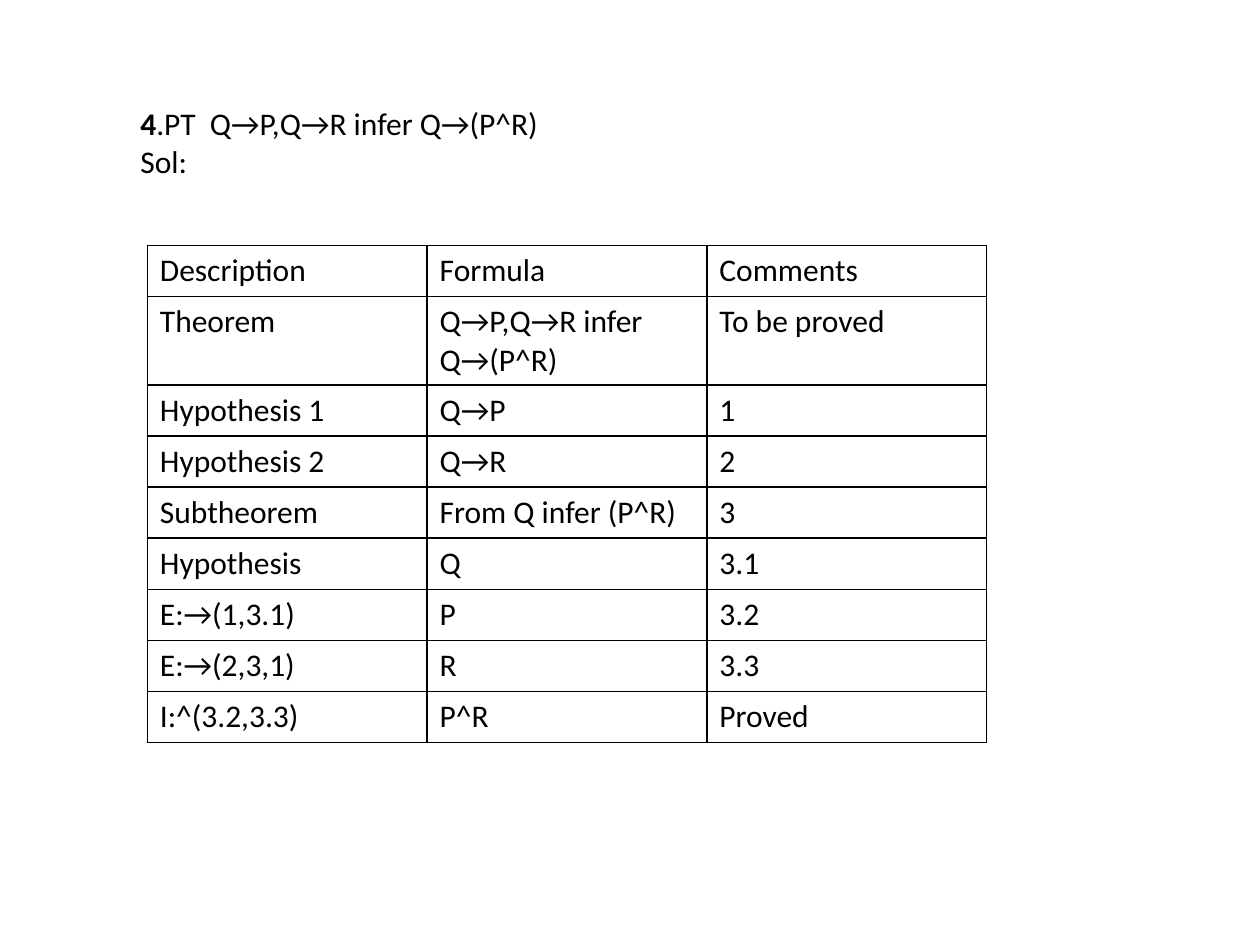
from lxml import etree
from pptx import Presentation
from pptx.dml.color import RGBColor
from pptx.oxml.ns import qn
from pptx.util import Cm, Pt

BLACK = RGBColor(0, 0, 0)
SIDES = ("a:lnL", "a:lnR", "a:lnT", "a:lnB")
ROWS = [
    ("Description", "Formula", "Comments"),
    ("Theorem", "Q→P,Q→R infer Q→(P^R)", "To be proved"),
    ("Hypothesis 1", "Q→P", "1"),
    ("Hypothesis 2", "Q→R", "2"),
    ("Subtheorem", "From Q infer (P^R)", "3"),
    ("Hypothesis", "Q", "3.1"),
    ("E:→(1,3.1)", "P", "3.2"),
    ("E:→(2,3,1)", "R", "3.3"),
    ("I:^(3.2,3.3)", "P^R", "Proved"),
]


def write(para, text, font="Calibri", size=18, color=BLACK, bold=False):
    run = para.add_run()
    run.text = text
    run.font.name = font
    run.font.size = Pt(size)
    run.font.color.rgb = color
    run.font.bold = bold


class Page:
    def __init__(self, slide, line=BLACK, width=1):
        self.slide = slide
        self.line = line
        self.width = width

    def text(self, x, y, w, h, lines):
        box = self.slide.shapes.add_textbox(Cm(x), Cm(y), Cm(w), Cm(h))
        frame = box.text_frame
        frame.word_wrap = False
        for i, runs in enumerate(lines):
            para = frame.add_paragraph() if i else frame.paragraphs[0]
            for text, bold in runs:
                write(para, text, bold=bold)

    def border(self, cell):
        props = cell._tc.get_or_add_tcPr()
        for side in SIDES:
            edge = etree.SubElement(props, qn(side), w=str(Pt(self.width)))
            fill = etree.SubElement(edge, qn("a:solidFill"))
            etree.SubElement(fill, qn("a:srgbClr"), val=str(self.line))

    def table(self, x, y, wide, high, rows):
        count, cols = len(rows), len(rows[0])
        frame = self.slide.shapes.add_table(
            count, cols, Cm(x), Cm(y), Cm(wide * cols), Cm(high * count))
        table = frame.table
        table.first_row = False
        table.horz_banding = False
        for col in table.columns:
            col.width = Cm(wide)
        for row, words in zip(table.rows, rows):
            row.height = Cm(high)
            for cell, word in zip(row.cells, words):
                self.border(cell)
                cell.fill.background()
                write(cell.text_frame.paragraphs[0], word)


def main():
    deck = Presentation()
    deck.slide_width, deck.slide_height = Cm(25.4), Cm(19.05)
    page = Page(deck.slides.add_slide(deck.slide_layouts[6]))
    page.text(2.58, 1.98, 8.6, 3.32, [
        [("4", True), (".PT  Q→P,Q→R infer Q→(P^R)", False)],
        [("Sol:", False)],
    ])
    page.table(2.97, 4.95, 5.64, 1.03, ROWS)
    deck.save("out.pptx")


if __name__ == "__main__":
    main()
